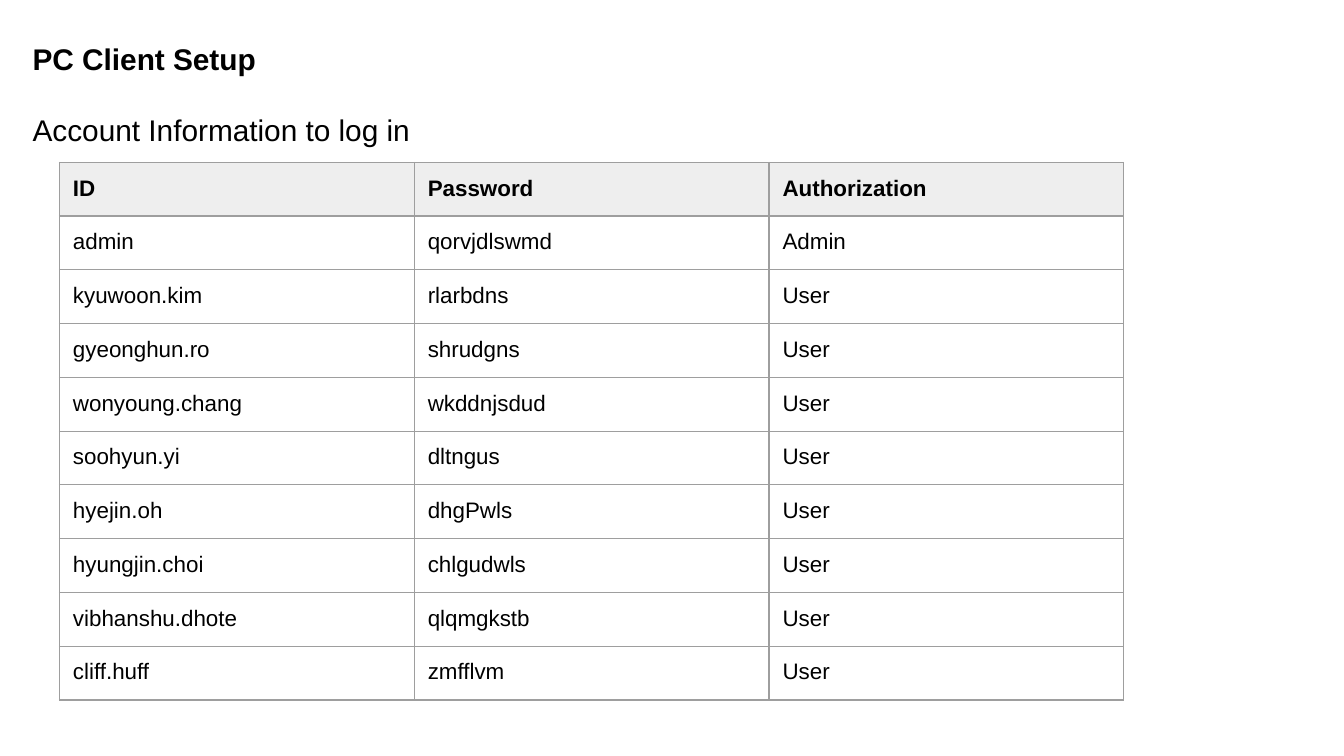
import dataclasses
import typing

import pptx
import pptx.dml.color
import pptx.enum.text
import pptx.oxml
import pptx.oxml.ns
import pptx.util


@dataclasses.dataclass(frozen=True)
class Theme:
    font: str = "Arial"
    ink: str = "000000"
    head: str = "EEEEEE"
    rule: str = "9E9E9E"
    line: float = 0.75
    large: int = 16
    small: int = 12


@dataclasses.dataclass(frozen=True)
class Box:
    col: float
    row: float
    wide: float
    high: float


class User(typing.NamedTuple):
    name: str
    code: str
    role: str = "User"


THEME = Theme()
WIDTH = pptx.util.Inches(10)
HEIGHT = WIDTH * 9 // 16
UNIT = WIDTH / 100
PAD = round(UNIT)
TITLE = Box(1.43, 2, 89.2, 4.6)
BODY = Box(1.43, 7.3, 89.2, 4.6)
TABLE = Box(4.43, 12.08, 79.2, 40)

USERS = [
    User("ID", "Password", "Authorization"),
    User("admin", "qorvjdlswmd", "Admin"),
    User("kyuwoon.kim", "rlarbdns"),
    User("gyeonghun.ro", "shrudgns"),
    User("wonyoung.chang", "wkddnjsdud"),
    User("soohyun.yi", "dltngus"),
    User("hyejin.oh", "dhgPwls"),
    User("hyungjin.choi", "chlgudwls"),
    User("vibhanshu.dhote", "qlqmgkstb"),
    User("cliff.huff", "zmfflvm"),
]


def place(box: Box) -> list[int]:
    return [round(n * UNIT) for n in (box.col, box.row, box.wide, box.high)]


def write(frame, text: str, size: int, bold: bool) -> None:
    frame.text = text
    for para in frame.paragraphs:
        para.alignment = pptx.enum.text.PP_ALIGN.LEFT
        para.line_spacing = 1.0
        para.space_before = pptx.util.Pt(0)
        for run in para.runs:
            run.font.name = THEME.font
            run.font.size = pptx.util.Pt(size)
            run.font.bold = bold
            run.font.color.rgb = pptx.dml.color.RGBColor.from_string(THEME.ink)


def draw_text(shape, box: Box, text: str, bold: bool) -> None:
    shape.left, shape.top, shape.width, shape.height = place(box)
    frame = shape.text_frame
    frame.margin_left = frame.margin_right = PAD
    frame.margin_top = frame.margin_bottom = PAD
    frame.word_wrap = True
    frame.auto_size = pptx.enum.text.MSO_AUTO_SIZE.NONE
    frame.vertical_anchor = pptx.enum.text.MSO_ANCHOR.TOP
    write(frame, text, THEME.large, bold)


def strip_list(para) -> None:
    props = para._p.get_or_add_pPr()
    props.set("marL", "0")
    props.set("indent", "0")
    props.append(pptx.oxml.parse_xml(
        f'<a:buNone {pptx.oxml.ns.nsdecls("a")}/>'))


def draw_rules(cell) -> None:
    props = cell._tc.get_or_add_tcPr()
    for side in "LRTB":
        props.append(pptx.oxml.parse_xml(
            f'<a:ln{side} {pptx.oxml.ns.nsdecls("a")} '
            f'w="{pptx.util.Pt(THEME.line)}"><a:solidFill>'
            f'<a:srgbClr val="{THEME.rule}"/></a:solidFill></a:ln{side}>'))


def draw_cell(cell, text: str, head: bool) -> None:
    cell.margin_left = cell.margin_right = PAD
    cell.margin_top = cell.margin_bottom = PAD
    draw_rules(cell)
    if head:
        cell.fill.solid()
        cell.fill.fore_color.rgb = pptx.dml.color.RGBColor.from_string(THEME.head)
    else:
        cell.fill.background()
    write(cell.text_frame, text, THEME.small, head)


def draw_table(slide, box: Box, users: list[User]) -> None:
    grid = slide.shapes.add_table(
        len(users), len(User._fields), *place(box)).table
    grid.first_row = grid.horz_banding = False
    for row, user in enumerate(users):
        for col, text in enumerate(user):
            draw_cell(grid.cell(row, col), text, row == 0)


def main() -> None:
    deck = pptx.Presentation()
    deck.slide_width, deck.slide_height = WIDTH, HEIGHT
    slide = deck.slides.add_slide(deck.slide_layouts[1])
    title, body = slide.placeholders
    draw_text(title, TITLE, "PC Client Setup", True)
    draw_text(body, BODY, "Account Information to log in", False)
    strip_list(body.text_frame.paragraphs[0])
    draw_table(slide, TABLE, USERS)
    deck.save("out.pptx")


if __name__ == "__main__":
    main()
